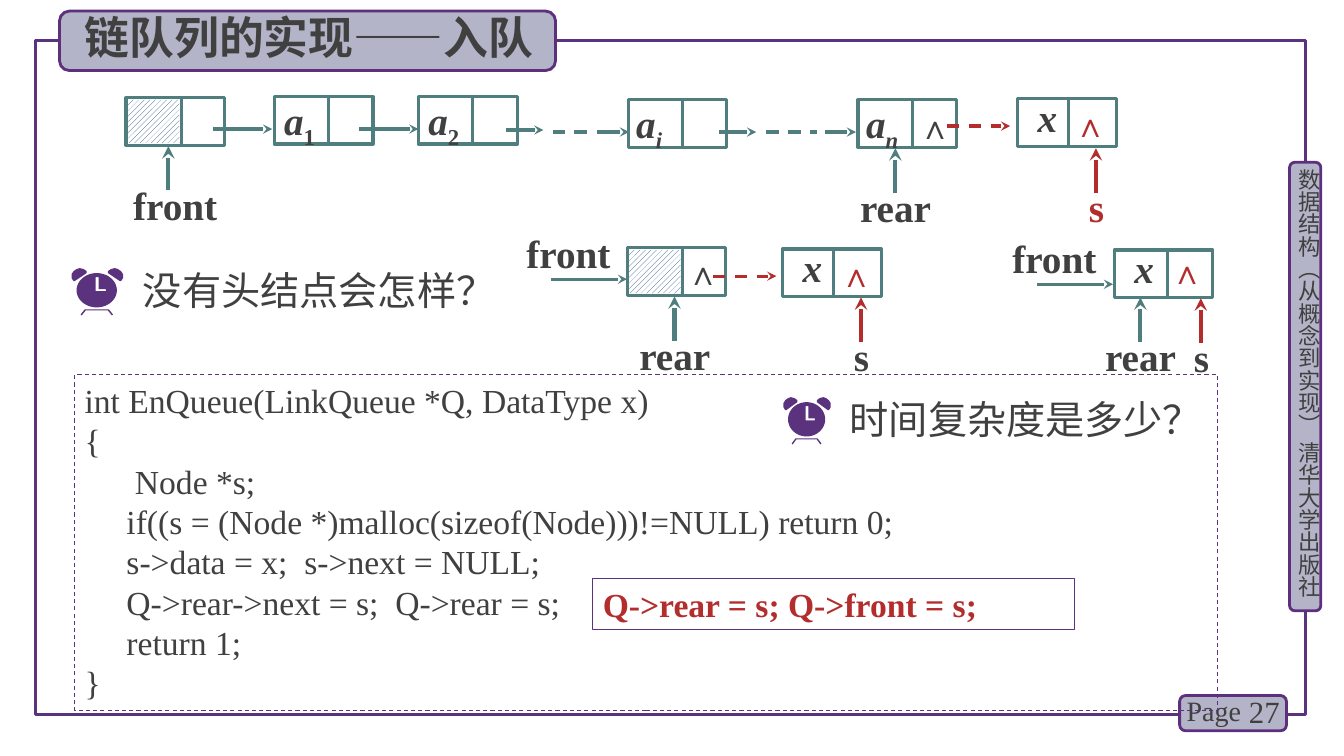
from dataclasses import dataclass
from math import cos, pi, sin

from lxml.etree import SubElement
from pptx import Presentation
from pptx.dml.color import RGBColor
from pptx.enum.dml import MSO_LINE, MSO_PATTERN
from pptx.enum.shapes import MSO_CONNECTOR, MSO_SHAPE
from pptx.enum.text import MSO_ANCHOR, PP_ALIGN
from pptx.oxml.ns import qn
from pptx.util import Inches, Pt


@dataclass(frozen=True)
class Theme:
    ink: str = "404040"
    purple: str = "5A327D"
    edge: str = "5C307D"
    panel: str = "B4B4C8"
    teal: str = "507D7D"
    red: str = "B42D2D"
    hatch: str = "1F497D"
    white: str = "FFFFFF"
    serif: str = "Times New Roman"
    sans: str = "Noto Sans CJK SC"
    title: int = 32
    label: int = 28
    code: int = 24
    number: int = 22
    page: int = 20
    side: int = 16


T = Theme()
NODE_W, NODE_H = 0.98, 0.47
NO_INSETS = (0, 0, 0, 0)
NULL_INSETS = (0.1, 0.05, 0.1, 0.04)
CODE = """int EnQueue(LinkQueue *Q, DataType x)
{
      Node *s;
     if((s = (Node *)malloc(sizeof(Node)))!=NULL) return 0;
     s->data = x;  s->next = NULL;
     Q->rear->next = s;  Q->rear = s;
     return 1;
}"""
BELL = [(0.08, 0), (0.05, 0.01), (0.02, 0.03), (0, 0.06), (0, 0.1),
        (0.02, 0.13), (0.03, 0.13), (0.15, 0.05), (0.15, 0.03), (0.12, 0.01)]
LEGS = [(0.09, 0.46), (0.13, 0.41), (0.37, 0.41), (0.41, 0.46),
        (0.4, 0.47), (0.36, 0.42), (0.14, 0.42), (0.1, 0.47)]
HANDS = [(0.24, 0.09), (0.27, 0.09), (0.27, 0.21), (0.34, 0.21),
         (0.34, 0.23), (0.24, 0.23)]


def rgb(color):
    return RGBColor.from_string(color)


def write(sp, text, size, font=T.serif, color=T.ink, bold=False, italic=False,
          insets=(0.1, 0.05, 0.1, 0.05), align=PP_ALIGN.LEFT, spacing=None,
          anchor=MSO_ANCHOR.TOP, sub=None):
    tf = sp.text_frame
    tf.word_wrap = True
    tf.vertical_anchor = anchor
    tf.margin_left, tf.margin_top, tf.margin_right, tf.margin_bottom = map(Inches, insets)
    for i, line in enumerate(text.split("\n")):
        p = tf.paragraphs[0] if i == 0 else tf.add_paragraph()
        p.alignment = align
        p.line_spacing = spacing
        p.font.size = Pt(size)
        p.font.name = font
        p.font.bold = bold
        p.font.italic = italic
        p.font.color.rgb = rgb(color)
        defaults = p._p.get_or_add_pPr().find(qn("a:defRPr"))
        SubElement(defaults, qn("a:ea")).set("typeface", font)
        p.add_run().text = line
        if sub:
            r = p.add_run()
            r.text = sub
            r.font.italic = sub.isalpha()
            r._r.get_or_add_rPr().set("baseline", "-25000")


def label(s, text, left, top, width, height, size=T.label, **style):
    sp = s.shapes.add_textbox(*map(Inches, (left, top, width, height)))
    write(sp, text, size, **style)
    return sp


def box(s, left, top, width, height, line, weight, fill=None, kind=MSO_SHAPE.RECTANGLE):
    sp = s.shapes.add_shape(kind, *map(Inches, (left, top, width, height)))
    sp.shadow.inherit = False
    if fill:
        sp.fill.solid()
        sp.fill.fore_color.rgb = rgb(fill)
    else:
        sp.fill.background()
    sp.line.color.rgb = rgb(line)
    sp.line.width = Pt(weight)
    return sp


def panel(s, *place):
    return box(s, *place, T.edge, 2, T.panel, MSO_SHAPE.ROUNDED_RECTANGLE)


def line(s, x1, y1, x2, y2, color=T.teal, weight=2.25, dashed=False, arrow=True):
    c = s.shapes.add_connector(MSO_CONNECTOR.STRAIGHT, *map(Inches, (x1, y1, x2, y2)))
    c.line.color.rgb = rgb(color)
    c.line.width = Pt(weight)
    if dashed:
        c.line.dash_style = MSO_LINE.DASH
    if arrow:
        SubElement(c.line._get_or_add_ln(), qn("a:tailEnd")).set("type", "stealth")
    SubElement(c._element.spPr, qn("a:effectLst"))


def node(s, left, top, split=0.54, text=None, sub=None, inset=0.1):
    sp = box(s, left, top, NODE_W, NODE_H, T.teal, 2.25)
    if text:
        write(sp, text, T.label, bold=True, italic=True, sub=sub,
              insets=(inset, 0, 0, 0.08), spacing=0.9)
    line(s, left + split, top, left + split, top + NODE_H, arrow=False)


def head_node(s, left, top):
    node(s, left, top, 0.55)
    sp = box(s, left + 0.02, top + 0.02, 0.51, 0.43, T.hatch, 1)
    sp.line.fill.background()
    sp.fill.patterned()
    sp.fill.pattern = MSO_PATTERN.WIDE_UPWARD_DIAGONAL
    sp.fill.fore_color.rgb = rgb(T.hatch)
    sp.fill.back_color.rgb = rgb(T.white)


def null_mark(s, left, top, color=T.ink):
    label(s, "∧", left, top, 0.57, 0.49, T.code, color=color, bold=True,
          insets=NULL_INSETS)


def pointer(s, name, x, top, offset=0.35, width=0.85, arrow=T.teal, color=T.ink):
    label(s, name, x - offset, top, width, 0.35, bold=True, color=color,
          insets=NO_INSETS, spacing=0.8)
    line(s, x, top, x, top - 0.44, arrow, 3)


def s_pointer(s, x, top, color=T.ink):
    pointer(s, "s", x, top, 0.07, 0.24, T.red, color)


def front_arrow(s, left, top):
    line(s, left + 0.25, top + 0.5, left + 1, top + 0.5)
    label(s, "front", left, top, 0.95, 0.51, bold=True, insets=(0, 0, 0, 0.04))


def outline(s, *contours):
    emu = [[(Inches(x), Inches(y)) for x, y in points] for points in contours]
    builder = s.shapes.build_freeform(*emu[0][0])
    builder.add_line_segments(emu[0][1:])
    for points in emu[1:]:
        builder.move_to(*points[0])
        builder.add_line_segments(points[1:])
    sp = builder.convert_to_shape()
    sp.shadow.inherit = False
    sp.fill.solid()
    sp.fill.fore_color.rgb = rgb(T.purple)
    sp.line.fill.background()


def question(s, text, left, top, stretch, text_left, text_top):
    def placed(points):
        return [(left + stretch * x, top + y) for x, y in points]

    angles = [2 * pi * i / 48 for i in range(48)]
    face = [(0.25 + 0.2 * cos(a), 0.22 + 0.17 * sin(a)) for a in angles]
    outline(s, placed(LEGS))
    outline(s, placed(BELL))
    outline(s, placed([(0.51 - x, y) for x, y in BELL]))
    outline(s, placed(face), placed(HANDS))
    label(s, text, text_left, text_top, 4, 0.57, font=T.sans)


def frame(s):
    box(s, 0.35, 0.4, 12.6, 6.69, T.purple, 2.25)
    panel(s, 12.79, 1.61, 0.31, 4.45)
    side = label(s, "数据结构（从概念到实现） 清华大学出版社", 12.85, 1.67, 0.27, 4.49,
                 T.side, font=T.sans, insets=NO_INSETS)
    side.text_frame._txBody.bodyPr.set("vert", "eaVert")
    panel(s, 11.7, 6.9, 1.06, 0.35)
    label(s, "27", 12.2, 6.86, 0.59, 0.4, T.number, align=PP_ALIGN.RIGHT,
          anchor=MSO_ANCHOR.MIDDLE)
    label(s, "Page", 11.67, 6.83, 0.78, 0.44, T.page)
    panel(s, 0.59, 0.11, 4.92, 0.59)
    label(s, "链队列的实现——入队", 0.73, 0.05, 4.67, 0.64, T.title, font=T.sans,
          bold=True, align=PP_ALIGN.CENTER)


def long_queue(s):
    head_node(s, 1.25, 0.97)
    for left, top, sub, inset in ((2.72, 0.96, "1", 0.1), (4.15, 0.96, "2", 0.1),
                                  (6.23, 0.99, "i", 0.08), (8.51, 0.99, "n", 0.08)):
        node(s, left, top, text="a", sub=sub, inset=inset)
    node(s, 10.09, 0.98, 0.51, "x", inset=0.2)
    for x1, x2, y in ((2.11, 2.7, 1.28), (3.56, 4.15, 1.28), (5.02, 5.39, 1.29),
                      (5.92, 6.24, 1.31), (7.13, 7.5, 1.31), (8.18, 8.49, 1.31)):
        line(s, x1, y, x2, y)
    for x1, x2 in ((5.48, 5.84), (7.6, 8.1)):
        line(s, x1, 1.31, x2, 1.31, dashed=True, arrow=False)
    null_mark(s, 9.01, 1)
    null_mark(s, 10.55, 0.98, T.red)
    line(s, 9.39, 1.25, 10.02, 1.25, T.red, dashed=True)
    pointer(s, "front", 1.67, 1.89)
    pointer(s, "rear", 8.88, 1.91)
    s_pointer(s, 10.87, 1.91, T.red)


def empty_queues(s):
    front_arrow(s, 5.22, 2.27)
    head_node(s, 6.22, 2.46)
    null_mark(s, 6.71, 2.45)
    pointer(s, "rear", 6.69, 3.38)
    node(s, 7.76, 2.47, 0.51, "x", inset=0.2)
    null_mark(s, 8.23, 2.47, T.red)
    s_pointer(s, 8.54, 3.39)
    line(s, 7.07, 2.74, 7.7, 2.74, T.red, dashed=True)
    front_arrow(s, 10.04, 2.32)
    node(s, 11.05, 2.48, 0.53, "x", inset=0.2)
    null_mark(s, 11.51, 2.44, T.red)
    pointer(s, "rear", 11.31, 3.39)
    s_pointer(s, 11.91, 3.4)


def code_listing(s):
    sp = box(s, 0.74, 3.72, 11.34, 3.33, T.purple, 0.75)
    sp.line.dash_style = MSO_LINE.DASH
    write(sp, CODE, T.code, spacing=Pt(28.8))
    sp = box(s, 5.88, 5.74, 4.78, 0.5, T.purple, 0.5)
    write(sp, "Q->rear = s; Q->front = s;", T.code, color=T.red, bold=True,
          spacing=Pt(28.8))


def main():
    prs = Presentation()
    prs.slide_width, prs.slide_height = Inches(13.33), Inches(7.5)
    s = prs.slides.add_slide(prs.slide_layouts[6])
    frame(s)
    long_queue(s)
    empty_queues(s)
    code_listing(s)
    question(s, "没有头结点会怎样？", 0.71, 2.66, 1, 1.32, 2.59)
    question(s, "时间复杂度是多少？", 7.77, 3.94, 0.92, 8.33, 3.87)
    prs.save("out.pptx")


if __name__ == "__main__":
    main()
